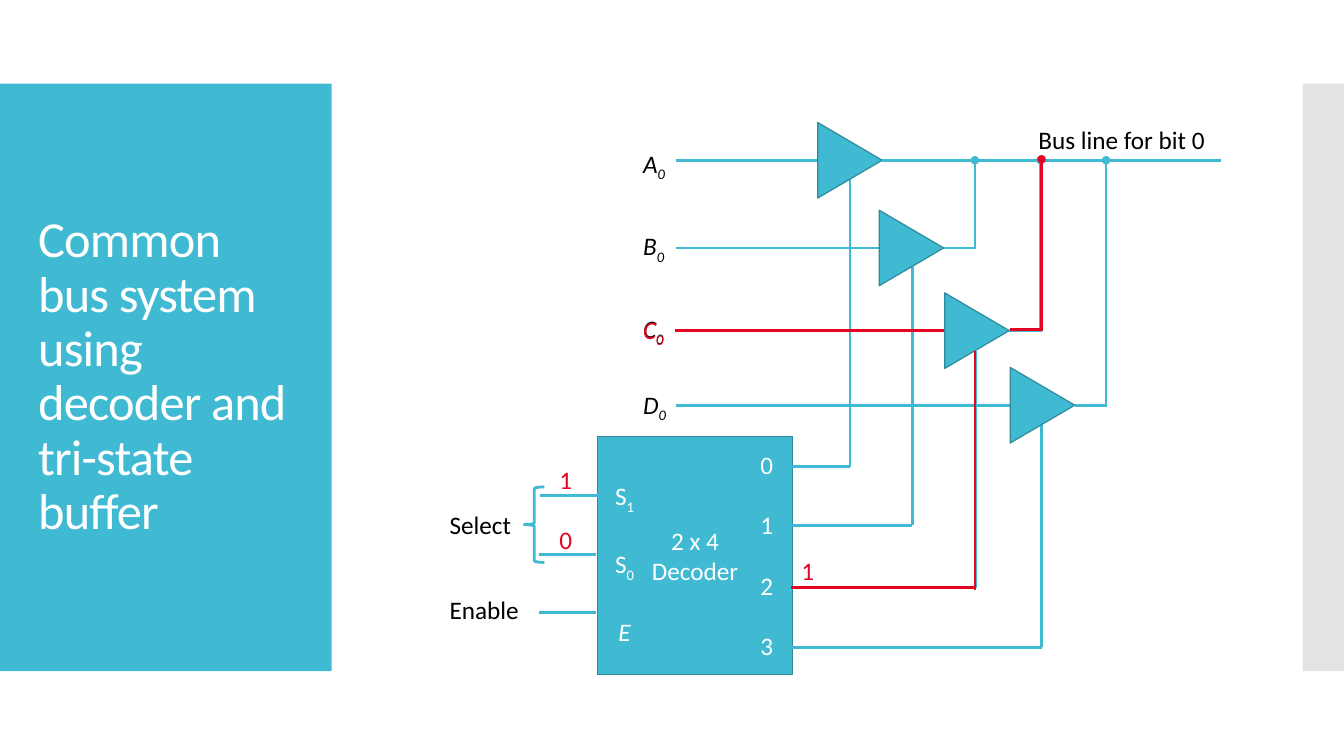
import dataclasses

import lxml.etree
import pptx
import pptx.dml.color
import pptx.enum.shapes
import pptx.enum.text
import pptx.oxml.ns
import pptx.util

Inches = pptx.util.Inches
Pt = pptx.util.Pt
SHAPE = pptx.enum.shapes.MSO_SHAPE
ALIGN = pptx.enum.text.PP_ALIGN
ANCHOR = pptx.enum.text.MSO_ANCHOR
qn = pptx.oxml.ns.qn
color = pptx.dml.color.RGBColor.from_string


@dataclasses.dataclass(frozen=True)
class Theme:
    font: str = "Calibri"
    teal: str = "40BAD2"
    outline: str = "2F8A9B"
    gray: str = "C8C8C8"
    red: str = "E40524"
    black: str = "000000"
    white: str = "FFFFFF"
    title_size: int = 36
    label_size: int = 18
    wire_width: float = 2
    outline_width: float = 0.85


theme = Theme()
presentation = pptx.Presentation()
presentation.slide_width = Inches(13.33)
presentation.slide_height = Inches(7.5)
slide = presentation.slides.add_slide(presentation.slide_layouts[6])


def add_wire(start, end, wire_color=theme.teal, dot=False):
    wire = slide.shapes.add_connector(
        pptx.enum.shapes.MSO_CONNECTOR.STRAIGHT,
        Inches(start[0]), Inches(start[1]), Inches(end[0]), Inches(end[1]))
    wire.line.color.rgb = color(wire_color)
    wire.line.width = Pt(theme.wire_width)
    if dot:
        lxml.etree.SubElement(wire.line._ln, qn("a:tailEnd"), type="oval")
    lxml.etree.SubElement(wire._element.spPr, qn("a:effectLst"))


def add_label(box, lines, text_color=theme.black, wrap=False, align=ALIGN.LEFT,
              gap=0, size=theme.label_size, shape=None):
    """Each line is (text, subscript, italic)."""
    if shape is None:
        shape = slide.shapes.add_textbox(*map(Inches, box))
    frame = shape.text_frame
    frame.word_wrap = wrap
    for index, (text, subscript, italic) in enumerate(lines):
        paragraph = frame.paragraphs[0] if index == 0 else frame.add_paragraph()
        paragraph.alignment = align
        if index and gap:
            paragraph.space_before = Pt(gap)
        for part, baseline in ((text, None), (subscript, "-25000")):
            if not part:
                continue
            run = paragraph.add_run()
            run.text = part
            run.font.name = theme.font
            run.font.size = Pt(size)
            run.font.italic = italic
            run.font.color.rgb = color(text_color)
            if baseline:
                run.font._element.set("baseline", baseline)
    return shape


# Side panels
for left, width, panel_color in ((0, 3.29, theme.teal), (12.92, 0.41, theme.gray)):
    panel = slide.shapes.add_shape(
        SHAPE.RECTANGLE, Inches(left), Inches(0.83), Inches(width), Inches(5.83))
    panel.shadow.inherit = False
    panel.fill.solid()
    panel.fill.fore_color.rgb = color(panel_color)
    panel.line.fill.background()
# The right panel is half transparent
gray_fill = panel._element.spPr.find(".//" + qn("a:srgbClr"))
lxml.etree.SubElement(gray_fill, qn("a:alpha"), val="50000")

# Title
title = add_label(
    (0.28, 1.23, 2.74, 5.03),
    [("Common bus system using decoder and tri-state buffer", "", False)],
    theme.white, wrap=True, size=theme.title_size)
title.text_frame.vertical_anchor = ANCHOR.MIDDLE
title_paragraph = title.text_frame.paragraphs[0]
title_paragraph.line_spacing = 0.9
title_paragraph.runs[0].font._element.set("spc", "-60")

# Decoder with its ports
decoder = slide.shapes.add_shape(
    SHAPE.RECTANGLE, Inches(5.93), Inches(4.33), Inches(1.93), Inches(2.36))
decoder.shadow.inherit = False
decoder.fill.solid()
decoder.fill.fore_color.rgb = color(theme.teal)
decoder.line.color.rgb = color(theme.outline)
decoder.line.width = Pt(theme.outline_width)
decoder.text_frame.vertical_anchor = ANCHOR.MIDDLE
add_label(None, [("2 x 4", "", False), ("Decoder", "", False)], theme.white,
          wrap=True, align=ALIGN.CENTER, shape=decoder)
add_label((7.34, 4.41, 0.53, 2.22), [(str(port), "", False) for port in range(4)],
          theme.white, wrap=True, align=ALIGN.CENTER, gap=21.5)
add_label((5.93, 4.72, 0.53, 1.62),
          [("S", "1", False), ("S", "0", False), ("E", "", True)],
          theme.white, wrap=True, align=ALIGN.CENTER, gap=24)

# Decoder inputs
for left, right, y in ((5.36, 5.93, 4.92), (5.35, 5.91, 5.5), (5.35, 5.91, 6.08)):
    add_wire((left, y), (right, y))
brace = slide.shapes.add_shape(
    SHAPE.LEFT_BRACE, Inches(5.2), Inches(4.83), Inches(0.2), Inches(0.75))
brace.shadow.inherit = False
brace.fill.background()
brace.line.color.rgb = color(theme.teal)
brace.line.width = Pt(theme.wire_width)
add_label((4.36, 5, 0.85, 0.4), [("Select", "", False)])
add_label((4.36, 5.85, 0.92, 0.4), [("Enable", "", False)])

# Decoder outputs: port height, turning point, buffer control height
for port_y, turn_x, control_y in (
        (4.63, 8.43, 1.78), (5.21, 9.05, 2.65), (5.83, 9.68, 3.48), (6.42, 10.33, 4.21)):
    add_wire((7.86, port_y), (turn_x, port_y))
    add_wire((turn_x, port_y), (turn_x, control_y))

# Risers to the bus line
bus_y = 1.59
for x, y in ((9.67, 2.47), (10.32, 3.29), (10.97, 4.03)):
    add_wire((x, y), (x, bus_y), dot=True)

# Tri-state buffers: letter, wire height, left edge, output end, label top
side, depth = 0.75, 0.64
for letter, y, left, output_x, label_top in (
        ("A", bus_y, 8.11, 12.11, 1.42), ("B", 2.46, 8.72, 9.67, 2.24),
        ("C", 3.28, 9.37, 10.33, 3.06), ("D", 4.02, 10.02, 10.98, 3.81)):
    add_wire((6.7, y), (left, y))
    triangle = slide.shapes.add_shape(
        SHAPE.ISOSCELES_TRIANGLE, Inches(left + (depth - side) / 2),
        Inches(y - depth / 2), Inches(side), Inches(depth))
    triangle.rotation = 90
    triangle.shadow.inherit = False
    triangle.fill.solid()
    triangle.fill.fore_color.rgb = color(theme.teal)
    triangle.line.color.rgb = color(theme.outline)
    triangle.line.width = Pt(theme.outline_width)
    add_wire((left + depth, y), (output_x, y))
    add_label((6.28, label_top, 0.44, 0.4), [(letter, "0", True)])

add_label((10.2, 1.18, 1.88, 0.4), [("Bus line for bit 0", "", False)], wrap=True)

# Selected path in red
for left, top, bit in ((5.45, 4.56, "1"), (5.45, 5.15, "0"), (7.85, 5.46, "1")):
    add_label((left, top, 0.32, 0.4), [(bit, "", False)], theme.red)
for start, end, dot in (
        ((7.85, 5.83), (9.67, 5.83), False), ((9.67, 5.85), (9.67, 3.48), False),
        ((10.02, 3.27), (10.34, 3.27), False), ((10.33, 3.28), (10.33, 1.58), True),
        ((6.69, 3.28), (9.36, 3.28), False)):
    add_wire(start, end, theme.red, dot)
add_label((6.28, 3.07, 0.43, 0.4), [("C", "0", True)], theme.red)

presentation.save("out.pptx")
